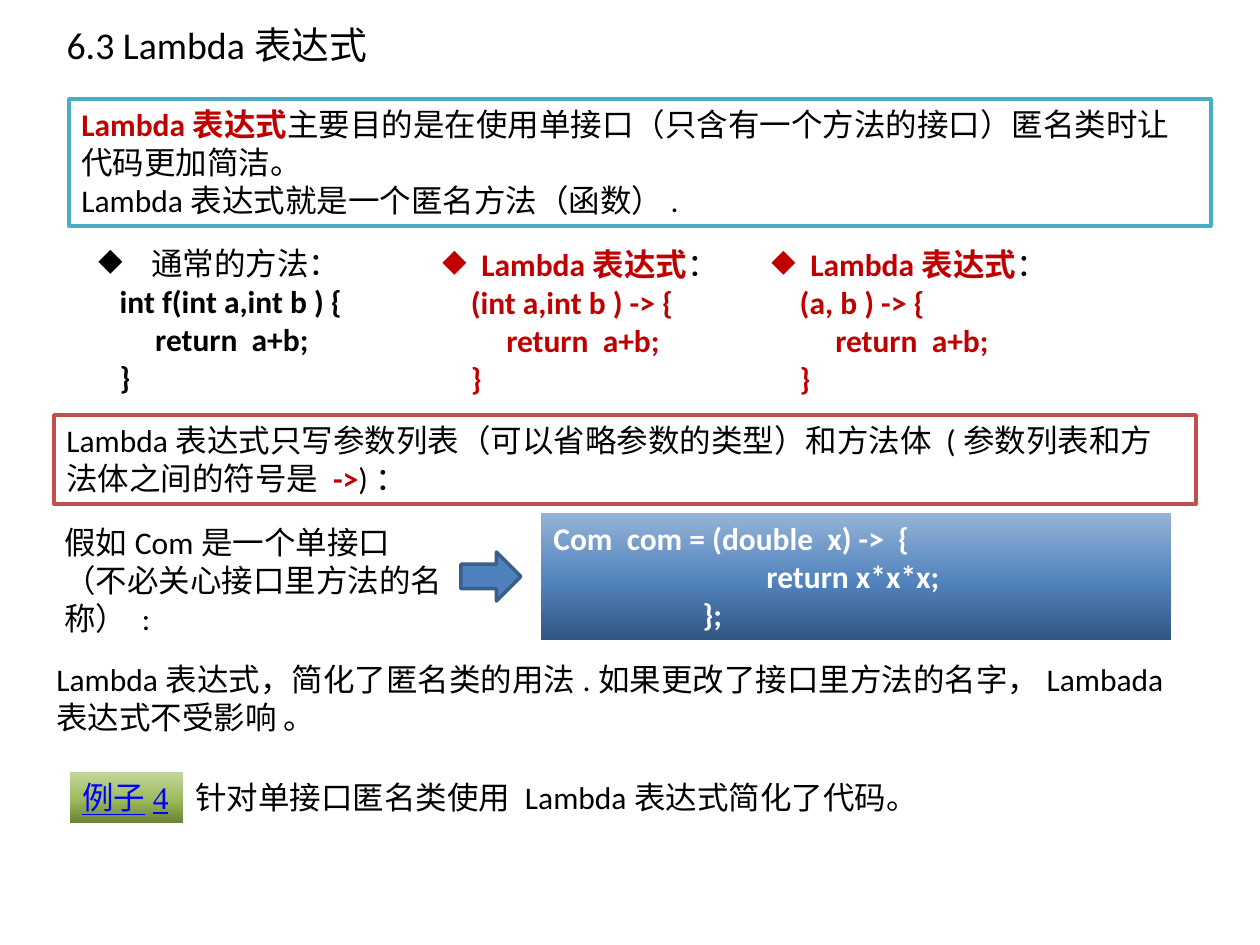
from copy import deepcopy

from lxml import etree
from pptx import Presentation
from pptx.dml.color import RGBColor
from pptx.enum.shapes import MSO_SHAPE
from pptx.enum.text import MSO_ANCHOR, MSO_AUTO_SIZE, PP_ALIGN
from pptx.oxml.ns import qn
from pptx.util import Emu, Pt

RECTANGLE = MSO_SHAPE.RECTANGLE
RIGHT_ARROW = MSO_SHAPE.RIGHT_ARROW
TOP = MSO_ANCHOR.TOP
LEFT = PP_ALIGN.LEFT
FIT_SHAPE = MSO_AUTO_SIZE.SHAPE_TO_FIT_TEXT
NO_FIT = MSO_AUTO_SIZE.NONE

EMU_PER_PX = 914400 / 126
BODY_FONT = "Calibri"
LINK_FONT = "Times New Roman"
BLACK, WHITE, RED, BLUE = "000000", "FFFFFF", "C00000", "0000FF"
TEAL_EDGE, RED_EDGE = "4BACC6", "C0504D"
ARROW_FILL, ARROW_EDGE = "4F81BD", "3A5F8C"
GREEN_SHADES = ("6A8336", "9EBD5E", "C3D69B")
BLUE_SHADES = ("315683", "5485BF", "95B3D7")
SHADE_POSITIONS = (0, 0.48, 1)


def px(length):
    return Emu(round(length * EMU_PER_PX))


def place(bounds):
    return [px(length) for length in bounds]


def colour(value):
    return RGBColor.from_string(value)


def add_run(paragraph, text, tint=BLACK, bold=False, size=18, name=BODY_FONT):
    run = paragraph.add_run()
    run.text = text
    font = run.font
    font.size, font.name, font.bold = Pt(size), name, bold
    font.color.rgb = colour(tint)
    return run


def add_bullet(paragraph, indent):
    properties = paragraph._p.get_or_add_pPr()
    properties.set("marL", str(px(indent)))
    properties.set("indent", str(-px(indent)))
    etree.SubElement(properties, qn("a:buChar")).set("char", "◆")


def write(frame, lines, bullet_indent=0, wrap=True):
    frame.word_wrap = wrap
    frame.auto_size = FIT_SHAPE
    frame.vertical_anchor = TOP
    for index, runs in enumerate(lines):
        paragraph = frame.add_paragraph() if index else frame.paragraphs[0]
        paragraph.alignment = LEFT
        if bullet_indent and index == 0:
            add_bullet(paragraph, bullet_indent)
        for run in runs:
            add_run(paragraph, *run)


def add_text(slide, bounds, lines, bullet_indent=0):
    box = slide.shapes.add_textbox(*place(bounds))
    write(box.text_frame, lines, bullet_indent)


def add_outlined(slide, kind, bounds, fill, edge):
    shape = slide.shapes.add_shape(kind, *place(bounds))
    shape.shadow.inherit = False
    shape.fill.solid()
    shape.fill.fore_color.rgb = colour(fill)
    shape.line.color.rgb = colour(edge)
    shape.line.width = Pt(2)
    return shape


def add_shaded(slide, bounds, shades):
    panel = slide.shapes.add_shape(RECTANGLE, *place(bounds))
    panel.shadow.inherit = False
    panel.line.fill.background()
    panel.fill.gradient()
    panel.fill.gradient_angle = 90
    first_stop = next(panel._element.spPr.iter(qn("a:gs")))
    first_stop.addnext(deepcopy(first_stop))
    for stop, shade, position in zip(panel.fill.gradient_stops, shades, SHADE_POSITIONS):
        stop.color.rgb = colour(shade)
        stop.position = position
    return panel


def add_title(slide, text):
    title = slide.shapes.title
    title.left, title.top, title.width, title.height = place((54, 2, 750, 160))
    frame = title.text_frame
    frame.auto_size = NO_FIT
    frame.vertical_anchor = TOP
    frame.margin_top = px(20)
    paragraph = frame.paragraphs[0]
    paragraph.alignment = LEFT
    add_run(paragraph, text, size=21.6)


def add_lambda_column(slide, left, signature):
    code = [signature, "         return  a+b;", "    }"]
    heading = [("Lambda表达式", RED, True), ("：",)]
    lines = [heading] + [[(line, RED, True)] for line in code]
    add_text(slide, (left, 239, 290, 165), lines, 39)


def main():
    deck = Presentation()
    deck.slide_width, deck.slide_height = px(1260), px(945)
    slide = deck.slides.add_slide(deck.slide_layouts[5])
    add_title(slide, "6.3 Lambda表达式")

    purpose = add_outlined(slide, RECTANGLE, (69, 99, 1142, 127), WHITE, TEAL_EDGE)
    write(purpose.text_frame, [
        [("Lambda表达式", RED, True),
         ("主要目的是在使用单接口（只含有一个方法的接口）匿名类时让代码更加简洁。",)],
        [("Lambda表达式就是一个匿名方法（函数）.",)],
    ])

    method = ["   int f(int a,int b ) {", "        return  a+b;", "   }"]
    add_text(slide, (86, 238, 377, 165),
             [[("通常的方法：",)]] + [[(line, BLACK, True)] for line in method], 53)
    add_lambda_column(slide, 430, "    (int a,int b ) -> {")
    add_lambda_column(slide, 759, "    (a, b ) -> {")

    syntax = add_outlined(slide, RECTANGLE, (54, 415, 1142, 89), WHITE, RED_EDGE)
    write(syntax.text_frame, [[
        ("Lambda表达式只写参数列表（可以省略参数的类型）和方法体 (参数列表和方法体之间的符号是 ",),
        ("->", RED, True),
        (")：",),
    ]])

    add_text(slide, (52, 517, 407, 127),
             [[("假如Com是一个单接口（不必关心接口里方法的名称） :",)]])
    add_outlined(slide, RIGHT_ARROW, (461, 552, 60, 49), ARROW_FILL, ARROW_EDGE)
    usage = ["Com  com = (double  x) ->  {",
             "                              return x*x*x;",
             "                     };"]
    usage_panel = add_shaded(slide, (541, 513, 630, 127), BLUE_SHADES)
    write(usage_panel.text_frame, [[(line, WHITE, True)] for line in usage])

    add_text(slide, (44, 654, 1150, 89),
             [[("Lambda表达式，简化了匿名类的用法.如果更改了接口里方法的名字，Lambada表达式不受影响 。",)]])

    example = add_shaded(slide, (70, 772, 113, 51), GREEN_SHADES)
    write(example.text_frame, [[("例子4", BLUE, False, 18, LINK_FONT)]], wrap=False)
    example.text_frame.paragraphs[0].runs[0].font.underline = True
    add_text(slide, (183, 772, 814, 51),
             [[("针对单接口匿名类使用 Lambda表达式简化了代码。",)]])

    deck.save("out.pptx")


if __name__ == "__main__":
    main()
